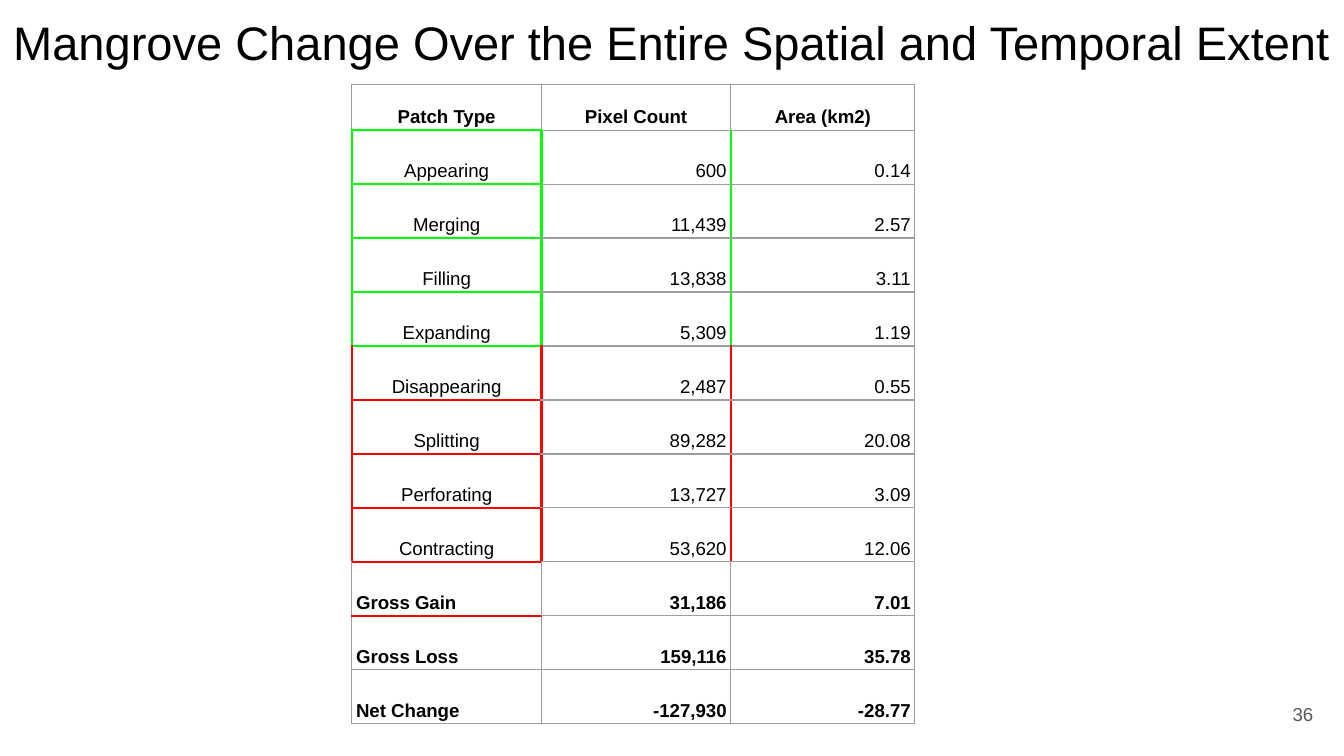
"""Build the mangrove change summary slide."""
from lxml import etree
from pptx import Presentation
from pptx import util as u
from pptx.dml.color import RGBColor
from pptx.enum import text
from pptx.oxml import ns

BLACK, GREY, MID, GAIN, LOSS = "000000", "595959", "9E9E9E", "00FF00", "FF0000"
ALIGN = text.PP_ALIGN
ANCHOR = text.MSO_ANCHOR

ROWS = [
    ("Patch Type", "Pixel Count", "Area (km2)"),
    ("Appearing", "600", "0.14"),
    ("Merging", "11,439", "2.57"),
    ("Filling", "13,838", "3.11"),
    ("Expanding", "5,309", "1.19"),
    ("Disappearing", "2,487", "0.55"),
    ("Splitting", "89,282", "20.08"),
    ("Perforating", "13,727", "3.09"),
    ("Contracting", "53,620", "12.06"),
    ("Gross Gain", "31,186", "7.01"),
    ("Gross Loss", "159,116", "35.78"),
    ("Net Change", "-127,930", "-28.77"),
]
GAIN_ROWS, LOSS_ROWS = range(1, 5), range(5, 9)
GAIN_TOPS, LOSS_TOPS = range(1, 6), range(6, 11)
COL_WIDTHS = (3.58, 3.58, 3.48)
HEADER_HEIGHT, ROW_HEIGHT = 0.86, 1.02


def rgb(value):
    """Turn a hex string into a colour."""
    return RGBColor.from_string(value)


def left_edge(row, col):
    """Return the colour of the vertical line left of a cell."""
    if col < len(COL_WIDTHS):
        if row in GAIN_ROWS:
            return GAIN
        if row in LOSS_ROWS:
            return LOSS
    return MID


def top_edge(row, col):
    """Return the colour of the horizontal line above a cell."""
    if col == 0:
        if row in GAIN_TOPS:
            return GAIN
        if row in LOSS_TOPS:
            return LOSS
    return MID


class Deck:
    """Hold the text style and the current slide."""

    font = "Arial"

    def __init__(self, width, height):
        """Start a presentation with one blank slide."""
        self.prs = Presentation()
        self.prs.slide_width, self.prs.slide_height = u.Cm(width), u.Cm(height)
        self.s = self.prs.slides.add_slide(self.prs.slide_layouts[6])

    def run(self, p, words, size, color=BLACK, bold=False):
        """Add one styled run to a paragraph."""
        r = p.add_run()
        r.text = words
        r.font.name, r.font.size, r.font.bold = self.font, u.Pt(size), bold
        r.font.color.rgb = rgb(color)

    def text(self, words, box, size, color=BLACK, align=ALIGN.LEFT, anchor=ANCHOR.TOP):
        """Add a one-line text box."""
        tf = self.s.shapes.add_textbox(*map(u.Cm, box)).text_frame
        tf.word_wrap, tf.vertical_anchor = False, anchor
        tf.margin_left = tf.margin_right = tf.margin_top = tf.margin_bottom = u.Cm(0.25)
        p = tf.paragraphs[0]
        p.alignment = align
        self.run(p, words, size, color)

    def borders(self, cell, colors):
        """Draw the left, right, top and bottom lines of a cell."""
        tc_pr = cell._tc.get_or_add_tcPr()
        for i, (side, color) in enumerate(zip("LRTB", colors)):
            width = u.Pt(0.75 if color == MID else 1.5)
            ln = etree.Element(ns.qn(f"a:ln{side}"), w=str(int(width)))
            fill = etree.SubElement(ln, ns.qn("a:solidFill"))
            etree.SubElement(fill, ns.qn("a:srgbClr"), val=color)
            tc_pr.insert(i, ln)

    def cell(self, cell, words, size, align, bold):
        """Fill one table cell with text."""
        cell.fill.background()
        cell.vertical_anchor = ANCHOR.BOTTOM
        cell.margin_left = cell.margin_right = u.Cm(0.08)
        cell.margin_top = cell.margin_bottom = u.Cm(0.05)
        p = cell.text_frame.paragraphs[0]
        p.alignment, p.line_spacing = align, 1.15
        self.run(p, words, size, bold=bold)

    def table(self, rows, left, top, size):
        """Add the table of patch types and totals."""
        heights = [HEADER_HEIGHT] + [ROW_HEIGHT] * (len(rows) - 1)
        box = map(u.Cm, (left, top, sum(COL_WIDTHS), sum(heights)))
        tbl = self.s.shapes.add_table(len(rows), len(COL_WIDTHS), *box).table
        tbl.first_row = tbl.horz_banding = False
        for col, width in zip(tbl.columns, COL_WIDTHS):
            col.width = u.Cm(width)
        for row, height in zip(tbl.rows, heights):
            row.height = u.Cm(height)
        for i, row in enumerate(rows):
            patch = i in GAIN_ROWS or i in LOSS_ROWS
            for j, words in enumerate(row):
                if i == 0 or (patch and j == 0):
                    align = ALIGN.CENTER
                else:
                    align = ALIGN.RIGHT if j else ALIGN.LEFT
                self.cell(tbl.cell(i, j), words, size, align, not patch)
                self.borders(tbl.cell(i, j), (left_edge(i, j), left_edge(i, j + 1),
                                              top_edge(i, j), top_edge(i + 1, j)))


def main():
    """Build and save the slide."""
    deck = Deck(25.4, 14.29)
    deck.text("Mangrove Change Over the Entire Spatial and Temporal Extent",
              (0, 0, 25.88, 1.6), 25.2)
    deck.text("36", (23.55, 12.95, 1.52, 1.09), 10, GREY, ALIGN.RIGHT, ANCHOR.MIDDLE)
    deck.table(ROWS, 6.65, 1.6, 10)
    deck.prs.save("out.pptx")


if __name__ == "__main__":
    main()
